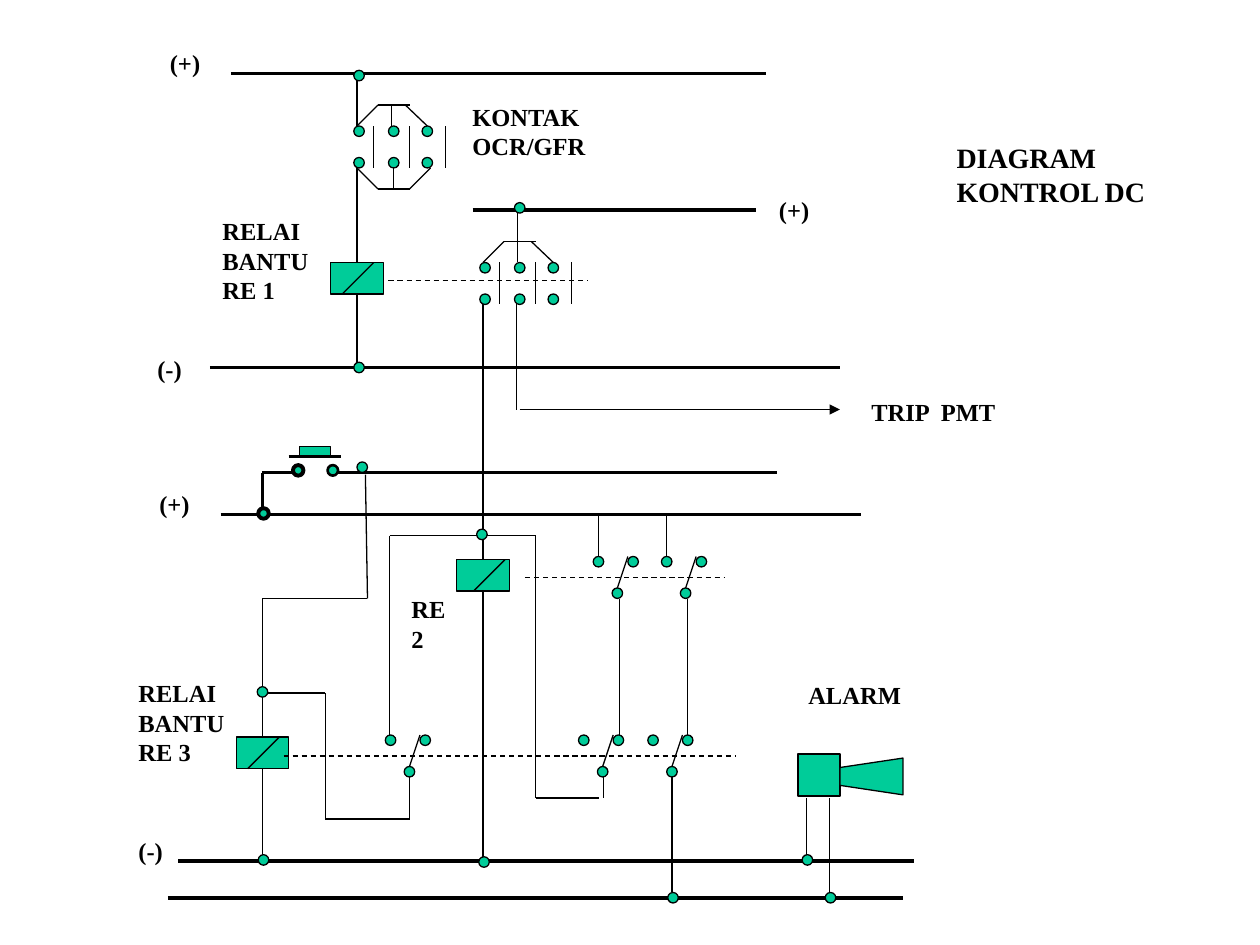
from dataclasses import dataclass

from lxml import etree
from pptx import Presentation
from pptx import util as u
from pptx.dml.color import RGBColor
from pptx.enum import dml, shapes, text
from pptx.oxml.ns import qn

COLUMNS, ROWS = 120, 90
CELL = u.Inches(10) // COLUMNS
BLACK, GREEN = "000000", "00CC99"
THIN, MEDIUM, THICK = 0.75, 1.5, 2.25

presentation = Presentation()
presentation.slide_width = CELL * COLUMNS
presentation.slide_height = CELL * ROWS
slide = presentation.slides.add_slide(presentation.slide_layouts[5])


@dataclass
class Label:
    words: str
    column: float
    row: float
    width: float
    height: float = 4.1


@dataclass
class Relay:
    column: float
    row: float
    slash: float


@dataclass
class Dot:
    column: float
    row: float
    weight: float = THIN


def cells(count: float) -> int:
    return round(count * CELL)


def colour(value: str) -> RGBColor:
    return RGBColor.from_string(value)


def paint(shape, weight: float = THIN) -> None:
    shape.shadow.inherit = False
    shape.fill.solid()
    shape.fill.fore_color.rgb = colour(GREEN)
    shape.line.color.rgb = colour(BLACK)
    shape.line.width = u.Pt(weight)


def draw_shape(kind, column: float, row: float, width: float, height: float, weight: float = THIN):
    shape = slide.shapes.add_shape(kind, cells(column), cells(row), cells(width), cells(height))
    paint(shape, weight)
    return shape


def draw_line(start, end, weight: float = THIN, dashed: bool = False, arrow: bool = False):
    connector = slide.shapes.add_connector(
        shapes.MSO_CONNECTOR.STRAIGHT, *(cells(value) for value in (*start, *end)))
    connector.line.color.rgb = colour(BLACK)
    connector.line.width = u.Pt(weight)
    if dashed:
        connector.line.dash_style = dml.MSO_LINE.DASH
    if arrow:
        etree.SubElement(connector.line._get_or_add_ln(), qn("a:tailEnd"), type="triangle")
    etree.SubElement(connector._element.spPr, qn("a:effectLst"))
    return connector


def draw_path(*points, weight: float = THIN) -> None:
    for start, end in zip(points, points[1:]):
        draw_line(start, end, weight)


def draw_dot(dot: Dot) -> None:
    draw_shape(shapes.MSO_SHAPE.OVAL, dot.column - 0.5, dot.row - 0.5, 1, 1, dot.weight)


def draw_relay(relay: Relay, top: float, bottom: float) -> None:
    coil = draw_shape(shapes.MSO_SHAPE.RECTANGLE, relay.column, relay.row, 5, 3)
    left, base = relay.column + relay.slash, relay.row + 3
    draw_line((left, base), (left + 3, relay.row))
    middle = relay.column + 2.5
    draw_line((middle, top), (middle, relay.row)).end_connect(coil, 0)
    draw_line((middle, base), (middle, bottom)).begin_connect(coil, 2)


def draw_contact_bank(x: float, y: float) -> None:
    for bar in (1.6, 5, 8.4):
        draw_line((x + bar, y), (x + bar, y + 4))
    draw_path((x, y), (x + 2, y - 2), (x + 5, y - 2))
    draw_line((x + 4.6, y - 2), (x + 6.7, y))
    draw_line((x + 3.3, y - 2), (x + 3.3, y))
    for column in (0.2, 3.5, 6.7):
        for row in (0.5, 3.5):
            draw_dot(Dot(x + column, y + row))


def draw_changeover(x: float, y: float) -> None:
    for column, row in ((0.5, 0.5), (3.8, 0.5), (2.3, 3.5)):
        draw_dot(Dot(x + column, y + row))
    draw_line((x + 2.3, y + 3), (x + 3.3, y))


def write(frame, words: str, size: float = 14, bold: bool = True, face: str = "Times New Roman") -> None:
    frame.word_wrap = False
    frame.auto_size = text.MSO_AUTO_SIZE.SHAPE_TO_FIT_TEXT
    frame.vertical_anchor = text.MSO_ANCHOR.TOP
    frame.margin_left = frame.margin_right = u.Inches(0.1)
    frame.margin_top = frame.margin_bottom = u.Inches(0.05)
    frame.text = words
    for paragraph in frame.paragraphs:
        paragraph.alignment = text.PP_ALIGN.LEFT
        paragraph.font.size = u.Pt(size)
        paragraph.font.bold = bold
        paragraph.font.name = face
        paragraph.font.color.rgb = colour(BLACK)


def draw_label(label: Label) -> None:
    box = slide.shapes.add_textbox(
        cells(label.column), cells(label.row), cells(label.width), cells(label.height))
    write(box.text_frame, label.words)


BUSES = [(22, 73, 7), (20, 80, 35), (45, 72, 20), (21, 82, 49),
         (32, 74, 45), (17, 87, 82), (16, 86, 85.5)]
LINKS = [(37, 56, 26.7), (50, 69, 55), (27, 70, 72)]
WIRES = [
    [(34, 7), (34, 12)],
    [(34, 16), (36, 18), (39, 18), (41, 16)],
    [(37.5, 16), (37.5, 18)],
    [(49.3, 23), (49.3, 20)],
    [(49.2, 29), (49.2, 39)],
    [(57, 49), (57, 53)],
    [(63.5, 49), (63.5, 53)],
    [(59, 57), (59, 70)],
    [(65.5, 57), (65.5, 70)],
    [(34.8, 45.2), (35, 57), (25, 57)],
    [(37.1, 70), (37.1, 51), (51, 51), (51, 76), (57, 76)],
    [(57.5, 74), (57.5, 76)],
    [(25, 66), (31, 66), (31, 78), (39, 78), (39, 74)],
    [(64, 74), (64, 85)],
    [(76.8, 76), (76.8, 82)],
    [(79, 76), (79, 85)],
]
RELAYS = [(Relay(31.5, 25, 1.1), 15, 35), (Relay(43.5, 53.3, 1.6), 29, 82),
          (Relay(22.5, 70.2, 1.1), 57, 82)]
CHANGEOVERS = [(56.5, 53), (63, 53), (36.7, 70), (55.1, 70), (61.7, 70)]
NODES = [
    Dot(34.2, 7.2), Dot(34.2, 35), Dot(49.5, 19.8), Dot(45.9, 50.9), Dot(25, 65.9),
    Dot(34.5, 44.5), Dot(25.1, 48.9, THICK), Dot(25.1, 81.9), Dot(46.1, 82.1),
    Dot(64.1, 85.5), Dot(76.9, 81.9), Dot(79.1, 85.5),
    Dot(28.4, 44.8, THICK), Dot(31.7, 44.8, MEDIUM),
]
LABELS = [
    Label("(+)", 15, 4, 5.3), Label("(+)", 73, 18, 5.3), Label("(+)", 14, 46, 5.3),
    Label("(-)", 13.8, 33.1, 4.7), Label("(-)", 12, 79, 4.7),
    Label("KONTAK\nOCR/GFR", 43.8, 9.1, 13.2, 6.8),
    Label("RELAI\nBANTU\nRE 1", 20, 20, 10.6, 9.6),
    Label("RE 2", 38, 56, 7.3),
    Label("RELAI\nBANTU\nRE 3", 12, 64, 10.6, 9.6),
    Label("ALARM", 75.8, 64.2, 11.2), Label("TRIP  PMT", 81.8, 37.2, 14.3),
]

title = slide.shapes.title
title.left, title.top, title.width, title.height = map(cells, (89.9, 12.8, 20.5, 7.7))
write(title.text_frame, "DIAGRAM\nKONTROL DC", size=16)

for first, last, row in BUSES:
    draw_line((first, row), (last, row), THICK)
draw_path((25, 49), (25, 45), (28, 45), weight=THICK)
for wire in WIRES:
    draw_path(*wire)
draw_line((49.5, 39), (80, 39), arrow=True)
for relay, top, bottom in RELAYS:
    draw_relay(relay, top, bottom)
for first, last, row in LINKS:
    draw_line((first, row), (last, row), dashed=True)
for column, row in ((34, 12), (46, 25)):
    draw_contact_bank(column, row)
for column, row in CHANGEOVERS:
    draw_changeover(column, row)

draw_shape(shapes.MSO_SHAPE.RECTANGLE, 28.5, 42.5, 3, 1)
draw_line((27.5, 43.5), (32.5, 43.5), MEDIUM)
draw_shape(shapes.MSO_SHAPE.RECTANGLE, 76, 71.8, 4, 4)
horn = slide.shapes.build_freeform(cells(86), cells(72.2))
horn.add_line_segments([(cells(x), cells(y)) for x, y in ((86, 75.7), (80, 74.8), (80, 73.1))])
paint(horn.convert_to_shape())

for node in NODES:
    draw_dot(node)
for label in LABELS:
    draw_label(label)

presentation.save("out.pptx")
